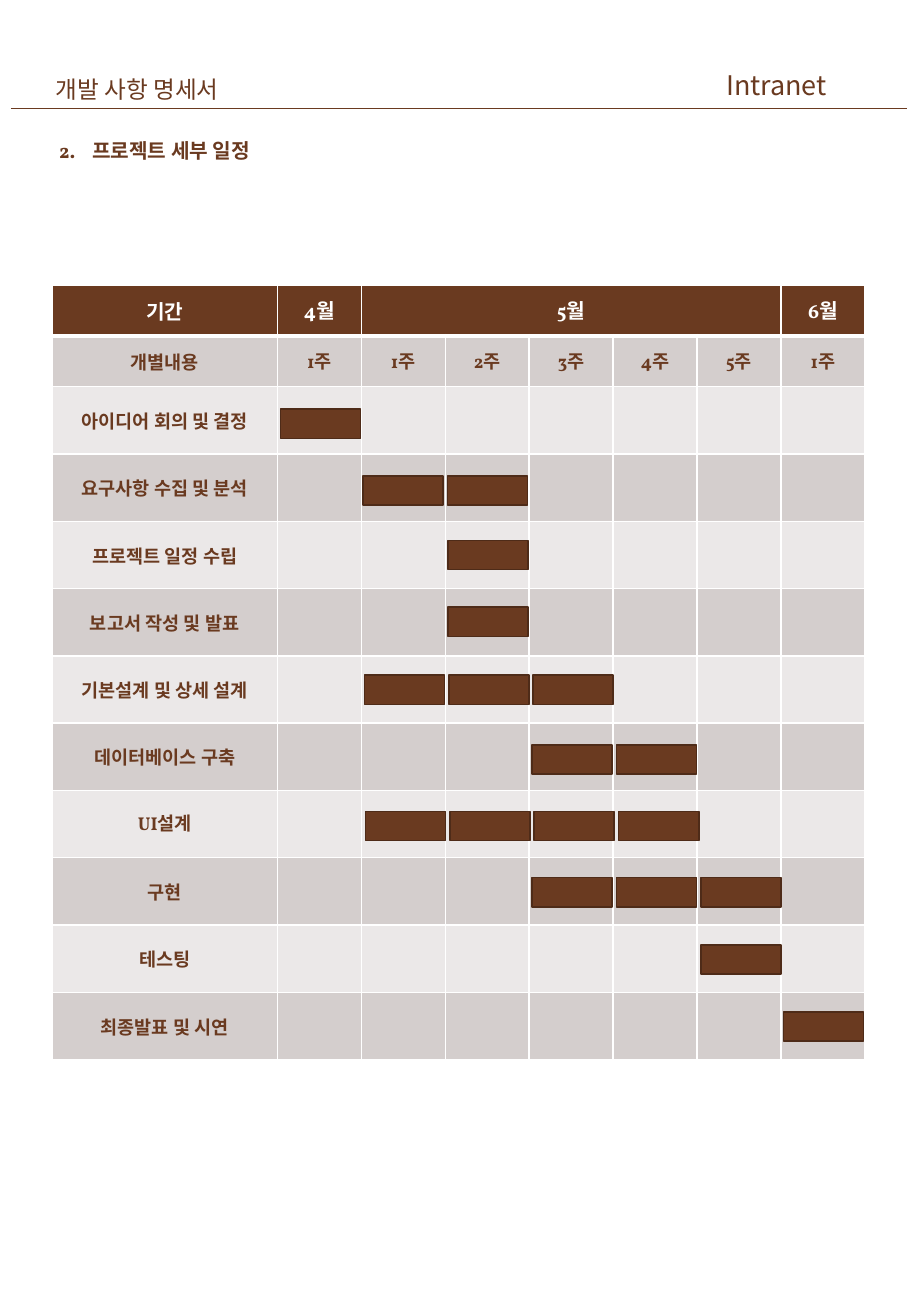
"""Builds the project schedule page with its week-by-week Gantt table."""
from lxml import etree
from pptx import Presentation
from pptx.dml.color import RGBColor
from pptx.enum.shapes import MSO_CONNECTOR, MSO_SHAPE
from pptx.enum.text import MSO_ANCHOR, PP_ALIGN
from pptx.oxml.ns import qn
from pptx.util import Pt

STRAIGHT = MSO_CONNECTOR.STRAIGHT
RECT = MSO_SHAPE.RECTANGLE
TOP, MIDDLE, BOTTOM = MSO_ANCHOR.TOP, MSO_ANCHOR.MIDDLE, MSO_ANCHOR.BOTTOM
CENTER = PP_ALIGN.CENTER
SANS, SERIF = "Noto Sans CJK KR", "Vollkorn"
BROWN, DARK, WHITE = "6A3A20", "4E2B18", "FFFFFF"
BANDS = ["D4CECD", "EBE8E8"]

LEFT, HEAD = 31, 169.2
NAME_W, WEEK_W = 133.4, 49.75
HEAD_H, TASK_H = 30, 39.9
BAR_W, BAR_H, BAR_STEP = 47.5, 17.3, 50


def color(value):
    return RGBColor.from_string(value)


def write(p, text, size, font, ink, bold=False):
    r = p.add_run()
    r.text = text
    for key, value in dict(size=Pt(size), name=font, bold=bold).items():
        setattr(r.font, key, value)
    r.font.color.rgb = color(ink)
    etree.SubElement(r.font._element, qn("a:ea"), typeface=SANS)


prs = Presentation()
prs.slide_width, prs.slide_height = Pt(540), Pt(780)
s = prs.slides.add_slide(prs.slide_layouts[6])

texts = [
    ("Intranet", 423.4, 37.4, 110, 26.6, TOP, 16, SANS, False),
    ("개발 사항 명세서", 25.9, 27.4, 177, 37.4, BOTTOM, 14, SANS, False),
    ("2.\t프로젝트 세부 일정", 28, 78.5, 160, 30, TOP, 12, SERIF, True),
]
for text, x, y, w, h, anchor, size, font, bold in texts:
    tf = s.shapes.add_textbox(Pt(x), Pt(y), Pt(w), Pt(h)).text_frame
    tf.word_wrap = True
    tf.vertical_anchor = anchor
    p = tf.paragraphs[0]
    if "\t" in text:
        tabs = etree.SubElement(p._p.get_or_add_pPr(), qn("a:tabLst"))
        etree.SubElement(tabs, qn("a:tab"), pos=str(Pt(19.5)), algn="l")
    write(p, text, size, font, BROWN, bold)

rule = s.shapes.add_connector(STRAIGHT, Pt(6.5), Pt(64), Pt(537.8), Pt(64))
rule.line.color.rgb = color(BROWN)
rule.line.width = Pt(0.5)
etree.SubElement(rule._element.spPr, qn("a:effectLst"))

tasks = [
    ("아이디어 회의 및 결정", 166.3, 242.6, 1),
    ("요구사항 수집 및 분석", 215.3, 282.2, 2),
    ("프로젝트 일정 수립", 265.7, 320.4, 1),
    ("보고서 작성 및 발표", 265.7, 360, 1),
    ("기본설계 및 상세 설계", 216, 400.3, 3),
    ("데이터베이스 구축", 315.4, 441.4, 2),
    ("UI설계", 216.7, 481, 4),
    ("구현", 315.4, 520.2, 3),
    ("테스팅", 415.4, 560.2, 1),
    ("최종발표 및 시연", 464.4, 599.8, 1),
]
rows = [
    ["기간", "4월", "5월", "", "", "", "", "6월"],
    ["개별내용", "1주", "1주", "2주", "3주", "4주", "5주", "1주"],
] + [[task[0]] + [""] * 7 for task in tasks]
widths = [NAME_W] + [WEEK_W] * 7
heights = [HEAD_H] * 2 + [TASK_H] * len(tasks)

table = s.shapes.add_table(len(rows), len(widths), Pt(LEFT), Pt(HEAD),
                           Pt(sum(widths)), Pt(sum(heights))).table
table.first_row = table.horz_banding = False
for column, width in zip(table.columns, widths):
    column.width = Pt(width)
for i, (row, height) in enumerate(zip(rows, heights)):
    table.rows[i].height = Pt(height)
    borders = {"lnL": 1, "lnR": 1, "lnT": 3 if i == 1 else 1, "lnB": 3 if i == 0 else 1}
    for j, text in enumerate(row):
        cell = table.cell(i, j)
        cell.vertical_anchor = MIDDLE
        for side, width in borders.items():
            ln = etree.SubElement(cell._tc.get_or_add_tcPr(), qn("a:" + side), w=str(Pt(width)))
            etree.SubElement(etree.SubElement(ln, qn("a:solidFill")), qn("a:srgbClr"), val=WHITE)
        cell.fill.solid()
        cell.fill.fore_color.rgb = color(BROWN if i == 0 else BANDS[(i + 1) % 2])
        if text:
            p = cell.text_frame.paragraphs[0]
            p.alignment = CENTER
            write(p, text, 12 if i == 0 else 11, SERIF, WHITE if i == 0 else BROWN, True)
table.cell(0, 2).merge(table.cell(0, 6))

for name, x, y, weeks in tasks:
    for week in range(weeks):
        bar = s.shapes.add_shape(RECT, Pt(x + week * BAR_STEP), Pt(y), Pt(BAR_W), Pt(BAR_H))
        bar.shadow.inherit = False
        bar.fill.solid()
        bar.fill.fore_color.rgb = color(BROWN)
        bar.line.color.rgb = color(DARK)
        bar.line.width = Pt(1)

prs.save("out.pptx")
